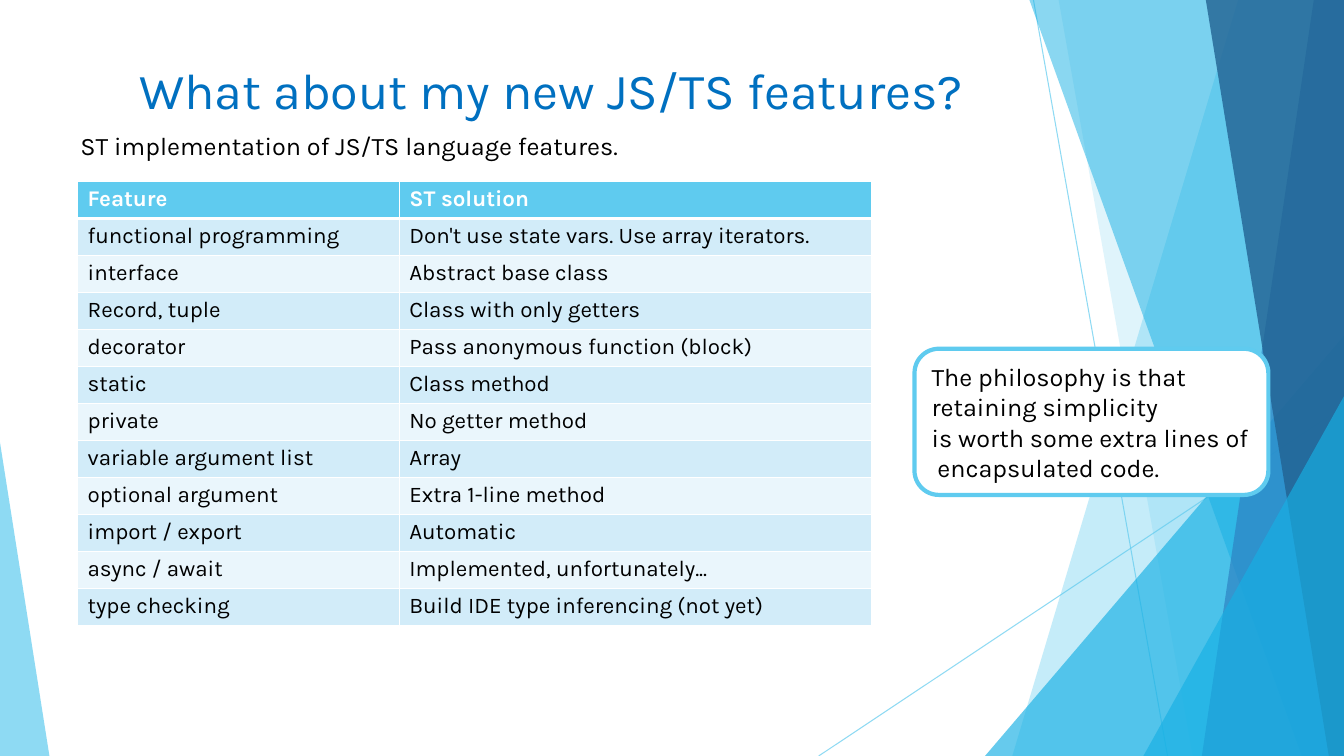
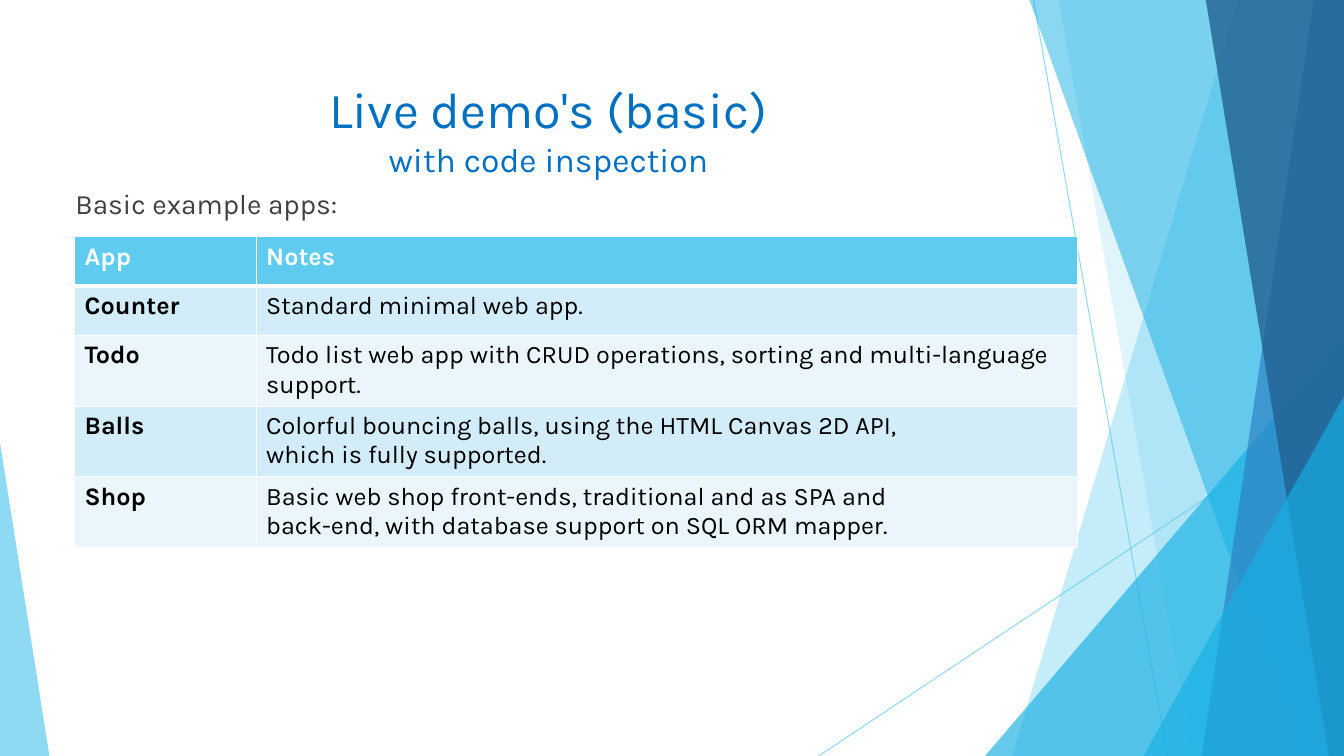
from lxml import etree
from pptx import Presentation
from pptx import util as u
from pptx.dml.color import RGBColor
from pptx.enum import shapes, text
from pptx.oxml.ns import qn

PX = 9144  # 100 px to the inch
WIDTH, HEIGHT = 1333, 750
FONT = "Karla"

WHITE = RGBColor(0xFF, 0xFF, 0xFF)
BLACK = RGBColor(0x00, 0x00, 0x00)
GREY = RGBColor(0x40, 0x40, 0x40)
TITLE_BLUE = RGBColor(0x00, 0x70, 0xC0)
SKY = RGBColor(0x5F, 0xCB, 0xEF)
CYAN = RGBColor(0x17, 0xB0, 0xE4)
BLUE = RGBColor(0x2E, 0x83, 0xC3)
NAVY = RGBColor(0x22, 0x62, 0x92)
BANDS = (RGBColor(0xEA, 0xF6, 0xFC), RGBColor(0xD2, 0xEC, 0xF9))

# Background, from back to front
RAYS = [(1025, 0, 1158, HEIGHT), (WIDTH, 403, 812, HEIGHT)]
# facet: x at the top, x at the bottom (the rest reaches the right edge), colour, opacity
# triangle: left, top, width, apex position, colour, opacity
BACKDROP = [
    ("facet", 1228, 1004, SKY, 36),
    ("facet", 1050, 1183, SKY, 20),
    ("triangle", 977, 333, 356, 1, CYAN, 66),
    ("facet", 1021, 1291, CYAN, 50),
    ("facet", 1303, 1192, BLUE, 70),
    ("facet", 1196, 1318, NAVY, 80),
    ("triangle", 1134, 393, 199, 1, CYAN, 66),
    ("triangle", 0, 439, 49, 0, SKY, 70),
]

FEATURES = [
    ("Feature", "ST solution"),
    ("functional programming", "Don't use state vars. Use array iterators."),
    ("interface", "Abstract base class"),
    ("Record, tuple", "Class with only getters"),
    ("decorator", "Pass anonymous function (block)"),
    ("static", "Class method"),
    ("private", "No getter method"),
    ("variable argument list", "Array"),
    ("optional argument", "Extra 1-line method"),
    ("import / export", "Automatic"),
    ("async / await", "Implemented, unfortunately..."),
    ("type checking", "Build IDE type inferencing (not yet)"),
]
APPS = [
    ("App", "Notes"),
    ("Counter", "Standard minimal web app."),
    ("Todo", "Todo list web app with CRUD operations, sorting and multi-language support."),
    ("Balls", "Colorful bouncing balls, using the HTML Canvas 2D API,\vwhich is fully supported."),
    ("Shop", "Basic web shop front-ends, traditional and as SPA and\n"
             "back-end, with database support on SQL ORM mapper."),
]
PHILOSOPHY = ("The philosophy is that retaining simplicity\n"
              "is worth some extra lines of\v encapsulated code.")

SLIDES = [
    {
        "title": [("What about my new JS/TS features?", 36)],
        "title_box": (77, 47, 940, 83),
        "intro": "ST implementation of JS/TS language features.",
        "intro_box": (70, 124, 837, 40),
        "intro_style": (18, BLACK),
        "table": {"rows": FEATURES, "at": (77, 180), "cols": (319, 468),
                  "row_height": 36, "size": 16, "bold_labels": False},
        "callout": (PHILOSOPHY, (907, 346, 351, 145)),
    },
    {
        "title": [("Live demo's (basic)", 36), ("with code inspection", 24)],
        "title_box": (74, 67, 940, 121),
        "intro": "Basic example apps:",
        "intro_box": (65, 180, 926, 56),
        "intro_style": (20, GREY),
        "table": {"rows": APPS, "at": (74, 235), "cols": (180, 815),
                  "row_height": 49, "size": 18, "bold_labels": True},
    },
]


def emu(lengths):
    return [n * PX for n in lengths]


def style(p, size, color, bold=False):
    p.font.name, p.font.size, p.font.bold = FONT, u.Pt(size), bold
    p.font.color.rgb = color


def set_opacity(shape, percent):
    for color in list(shape._element.spPr.iter(qn("a:srgbClr"))):
        etree.SubElement(color, qn("a:alpha")).set("val", str(percent * 1000))


def paint(shape, color, opacity):
    shape.shadow.inherit = False
    shape.fill.solid()
    shape.fill.fore_color.rgb = color
    shape.line.fill.background()
    set_opacity(shape, opacity)


def add_ray(s, ends):
    ray = s.shapes.add_connector(shapes.MSO_CONNECTOR.STRAIGHT, *emu(ends))
    ray.line.color.rgb = SKY
    ray.line.width = u.Pt(0.75)
    set_opacity(ray, 70)
    etree.SubElement(ray._element.spPr, qn("a:effectLst"))


def add_facet(s, top_x, bottom_x, color, opacity):
    outline = s.shapes.build_freeform(top_x, 0, scale=PX)
    outline.add_line_segments([(WIDTH, 0), (WIDTH, HEIGHT), (bottom_x, HEIGHT)])
    paint(outline.convert_to_shape(), color, opacity)


def add_triangle(s, left, top, width, apex, color, opacity):
    """Stand a triangle on the bottom edge of the slide."""
    sp = s.shapes.add_shape(shapes.MSO_SHAPE.ISOSCELES_TRIANGLE,
                            *emu((left, top, width, HEIGHT - top)))
    sp.adjustments[0] = apex
    paint(sp, color, opacity)


def add_backdrop(s):
    draw = {"facet": add_facet, "triangle": add_triangle}
    for ray in RAYS:
        add_ray(s, ray)
    for kind, *args in BACKDROP:
        draw[kind](s, *args)


def add_title(s, lines, box):
    tf = s.shapes.add_textbox(*emu(box)).text_frame
    tf.word_wrap = True
    tf.vertical_anchor = text.MSO_ANCHOR.MIDDLE
    tf.text = "\n".join(line for line, _ in lines)
    for p, (_, size) in zip(tf.paragraphs, lines):
        p.alignment = text.PP_ALIGN.CENTER
        style(p, size, TITLE_BLUE)


def add_intro(s, words, box, size, color):
    tf = s.shapes.add_textbox(*emu(box)).text_frame
    tf.word_wrap = True
    tf.text = words
    style(tf.paragraphs[0], size, color)


def set_borders(cell, row):
    """White rules, thick between the header and the first row."""
    thick_side = {0: "lnB", 1: "lnT"}.get(row)
    tc_pr = cell._tc.get_or_add_tcPr()
    for side in ("lnL", "lnR", "lnT", "lnB"):
        width = u.Pt(3 if side == thick_side else 1)
        ln = etree.SubElement(tc_pr, qn("a:" + side), w=str(width))
        fill = etree.SubElement(ln, qn("a:solidFill"))
        etree.SubElement(fill, qn("a:srgbClr"), val=str(WHITE))


def add_grid(s, rows, at, cols, row_height, size, bold_labels):
    box = (*at, sum(cols), row_height * len(rows))
    table = s.shapes.add_table(len(rows), len(cols), *emu(box)).table
    for column, width in zip(table.columns, cols):
        column.width = width * PX
    for r, row in enumerate(rows):
        table.rows[r].height = row_height * PX
        for c, words in enumerate(row):
            cell = table.cell(r, c)
            set_borders(cell, r)
            cell.fill.solid()
            cell.fill.fore_color.rgb = BANDS[r % 2] if r else SKY
            cell.text = words
            for p in cell.text_frame.paragraphs:
                style(p, size, BLACK if r else WHITE, r == 0 or (bold_labels and c == 0))


def add_callout(s, words, box):
    sp = s.shapes.add_shape(shapes.MSO_SHAPE.ROUNDED_RECTANGLE, *emu(box))
    sp.shadow.inherit = False
    sp.fill.solid()
    sp.fill.fore_color.rgb = WHITE
    sp.line.color.rgb = SKY
    sp.line.width = u.Pt(3)
    tf = sp.text_frame
    tf.word_wrap = True
    tf.vertical_anchor = text.MSO_ANCHOR.MIDDLE
    tf.text = words
    for p in tf.paragraphs:
        p.alignment = text.PP_ALIGN.LEFT
        style(p, 18, BLACK)


def main():
    prs = Presentation()
    prs.slide_width, prs.slide_height = emu((WIDTH, HEIGHT))
    for content in SLIDES:
        s = prs.slides.add_slide(prs.slide_layouts[6])
        add_backdrop(s)
        add_title(s, content["title"], content["title_box"])
        add_intro(s, content["intro"], content["intro_box"], *content["intro_style"])
        add_grid(s, **content["table"])
        if "callout" in content:
            add_callout(s, *content["callout"])
    prs.save("out.pptx")


if __name__ == "__main__":
    main()
